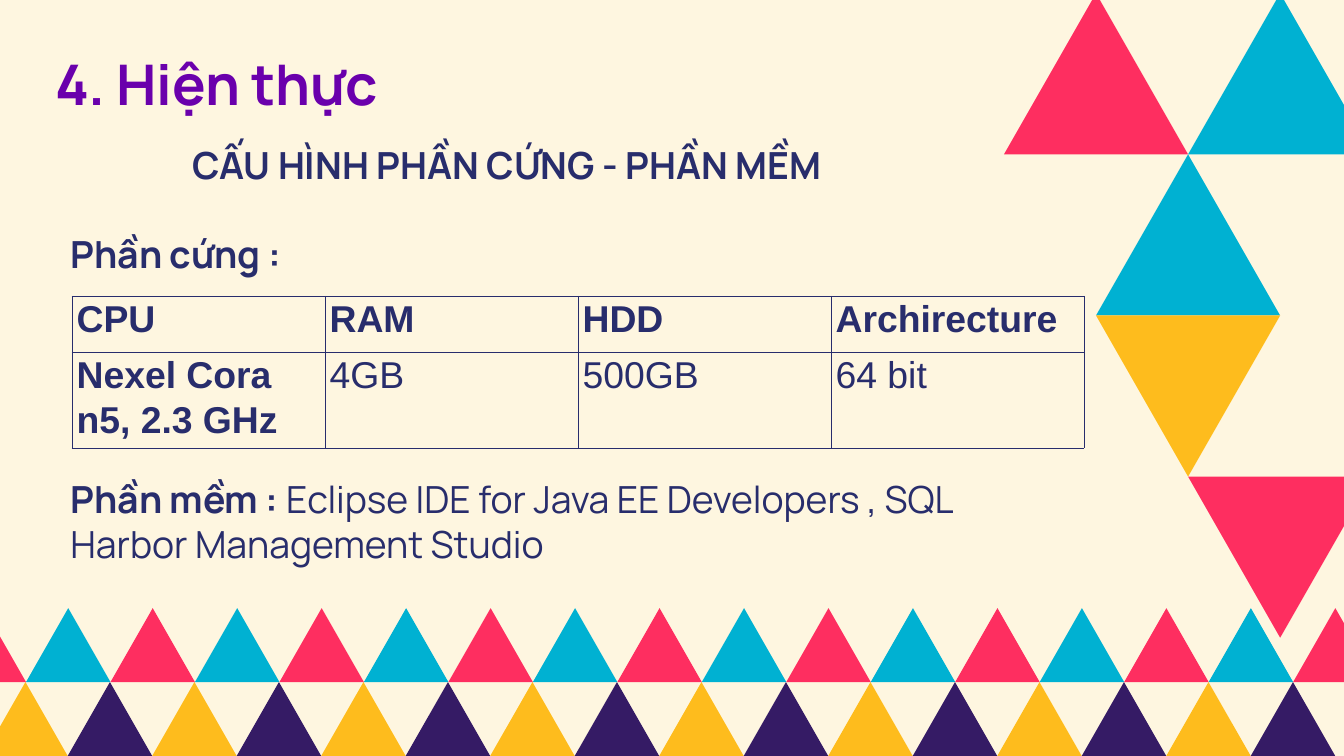
import pptx
import pptx.util
import pptx.dml.color
import pptx.enum.shapes
import pptx.enum.text
import pptx.oxml.ns
from lxml import etree

RGBColor = pptx.dml.color.RGBColor
CREAM = RGBColor(0xFE, 0xF6, 0xE0)
NAVY = RGBColor(0x28, 0x2D, 0x6C)
VIOLET = RGBColor(0x6A, 0x00, 0xAC)
INDIGO = RGBColor(0x35, 0x1B, 0x65)
YELLOW = RGBColor(0xFE, 0xBC, 0x1D)
PINK = RGBColor(0xFE, 0x2E, 0x60)
BLUE = RGBColor(0x00, 0xB1, 0xD2)

PX_PER_INCH = 100
HEADING_FONT = "Manrope"
TABLE_FONT = "Arial"
HARDWARE = [
    ["CPU", "RAM", "HDD", "Archirecture"],
    ["Nexel Cora n5, 2.3 GHz", "4GB", "500GB", "64 bit"],
]


def px(length):
    return pptx.util.Emu(round(length * 914400 / PX_PER_INCH))


def add_run(paragraph, text, size, color, font=HEADING_FONT, bold=True):
    run = paragraph.add_run()
    run.text = text
    run.font.name = font
    run.font.size = pptx.util.Pt(size)
    run.font.bold = bold
    run.font.color.rgb = color


def add_triangle(slide, left, top, width, height, color, rotation=0):
    shape = slide.shapes.add_shape(
        pptx.enum.shapes.MSO_SHAPE.ISOSCELES_TRIANGLE,
        px(left), px(top), px(width), px(height))
    shape.rotation = rotation
    shape.shadow.inherit = False
    shape.fill.solid()
    shape.fill.fore_color.rgb = color
    shape.line.fill.background()


def add_triangle_row(slide, left, top, width, height, count, colors):
    step = width / count
    for index in range(count):
        add_triangle(slide, left + index * step, top, step, height,
                     colors[index % len(colors)])


def add_corner_pattern(slide, left, top, width, height):
    cell_width, cell_height = width / 2, height / 4
    pattern = [
        (0, 0, PINK, 0),
        (1, 0, BLUE, 0),
        (0.5, 1, BLUE, 0),
        (0.5, 2, YELLOW, 180),
        (1, 3, PINK, 180),
    ]
    for column, row, color, rotation in pattern:
        add_triangle(slide, left + column * cell_width, top + row * cell_height,
                     cell_width, cell_height, color, rotation)


def add_title(slide, left, top, width, height, text):
    title = slide.shapes.title
    title.left, title.top = px(left), px(top)
    title.width, title.height = px(width), px(height)
    frame = title.text_frame
    frame.word_wrap = True
    frame.auto_size = pptx.enum.text.MSO_AUTO_SIZE.NONE
    frame.vertical_anchor = pptx.enum.text.MSO_ANCHOR.TOP
    paragraph = frame.paragraphs[0]
    paragraph.alignment = pptx.enum.text.PP_ALIGN.LEFT
    paragraph.line_spacing = 1.2
    add_run(paragraph, text, 60, VIOLET)


def add_text(slide, left, top, width, height, runs):
    box = slide.shapes.add_textbox(px(left), px(top), px(width), px(height))
    box.text_frame.word_wrap = True
    paragraph = box.text_frame.paragraphs[0]
    for text, bold in runs:
        add_run(paragraph, text, 40, NAVY, bold=bold)


def add_borders(cell, color, width):
    properties = cell._tc.get_or_add_tcPr()
    qn = pptx.oxml.ns.qn
    for side in ("a:lnL", "a:lnR", "a:lnT", "a:lnB"):
        line = etree.SubElement(properties, qn(side), w=str(pptx.util.Pt(width)))
        fill = etree.SubElement(line, qn("a:solidFill"))
        etree.SubElement(fill, qn("a:srgbClr"), val=str(color))


def add_hardware_table(slide, left, top, width, row_heights):
    column_count = len(HARDWARE[0])
    table = slide.shapes.add_table(
        len(HARDWARE), column_count, px(left), px(top), px(width),
        px(sum(row_heights))).table
    table.first_row = False
    table.horz_banding = False
    for column in table.columns:
        column.width = px(width / column_count)
    for row_index, values in enumerate(HARDWARE):
        table.rows[row_index].height = px(row_heights[row_index])
        for column_index, value in enumerate(values):
            cell = table.cell(row_index, column_index)
            add_borders(cell, NAVY, 1)
            cell.fill.solid()
            cell.fill.fore_color.rgb = CREAM
            cell.margin_left = cell.margin_right = px(7)
            cell.margin_top = cell.margin_bottom = 0
            paragraph = cell.text_frame.paragraphs[0]
            paragraph.line_spacing = 1.07
            paragraph.space_after = pptx.util.Pt(8)
            add_run(paragraph, value, 40, NAVY, TABLE_FONT,
                    bold=row_index == 0 or column_index == 0)


def main():
    presentation = pptx.Presentation()
    presentation.slide_width = px(2000)
    presentation.slide_height = px(1125)
    slide = presentation.slides.add_slide(presentation.slide_layouts[5])
    slide.background.fill.solid()
    slide.background.fill.fore_color.rgb = CREAM

    add_triangle_row(slide, -25, 1015, 2012, 110, 16, [YELLOW, INDIGO])
    add_triangle_row(slide, -87, 905, 2137, 110, 17, [PINK, BLUE])
    add_corner_pattern(slide, 1494, -10, 548, 959)
    add_title(slide, 72, 49, 1015, 121, "4. Hiện thực")
    add_text(slide, 277, 207, 1000, 86,
             [("CẤU HÌNH PHẦN CỨNG - PHẦN MỀM", True)])
    add_text(slide, 95, 339, 1205, 86, [("Phần cứng :", True)])
    add_hardware_table(slide, 107, 441, 1506, [83, 132])
    add_text(slide, 95, 704, 1372, 145, [
        ("Phần mềm : ", True),
        ("Eclipse IDE for Java EE Developers , SQL Harbor Management Studio", False),
    ])
    presentation.save("out.pptx")


if __name__ == "__main__":
    main()
